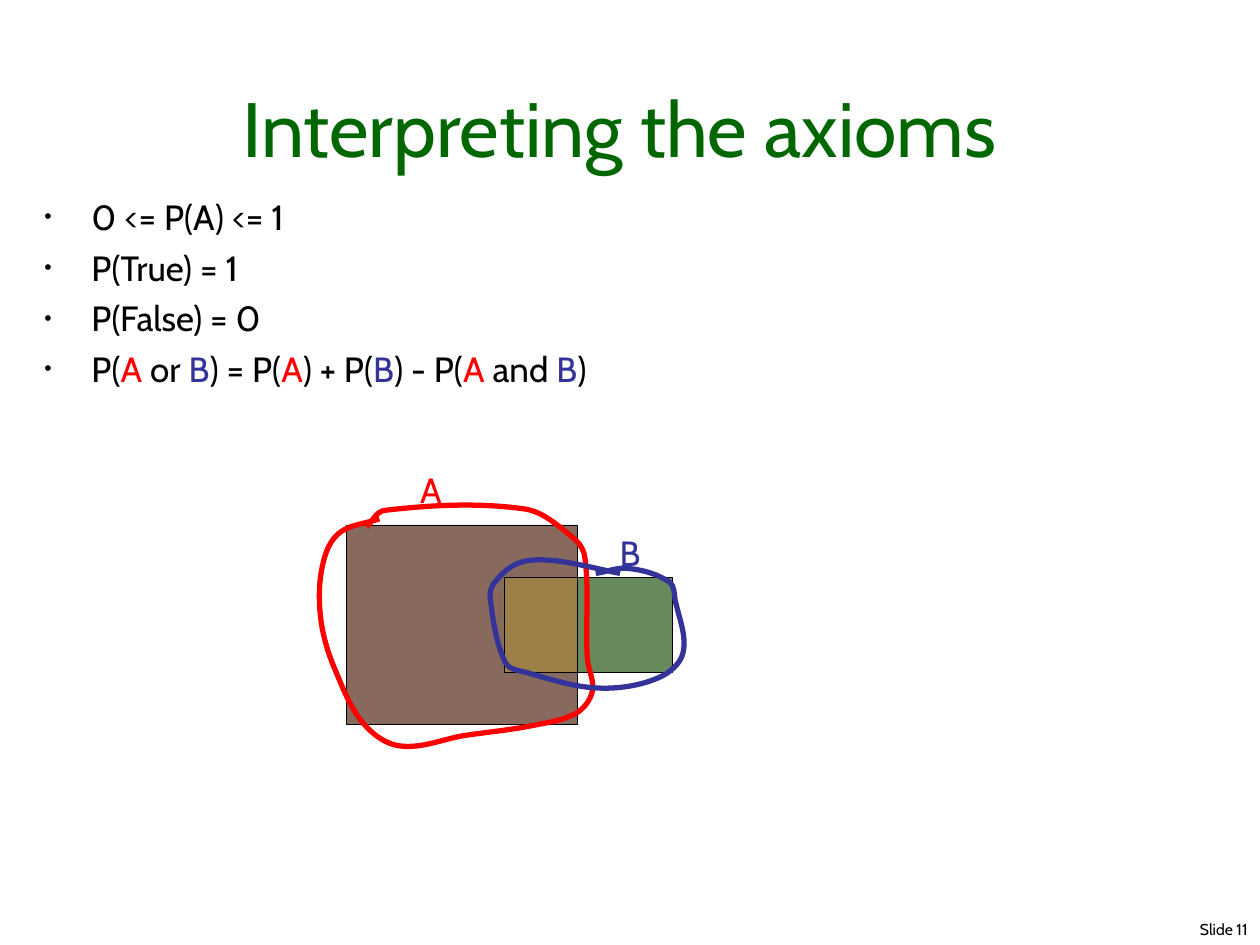
from math import dist
from lxml.etree import SubElement
from pptx import Presentation
from pptx.dml.color import RGBColor
from pptx.enum.shapes import MSO_SHAPE
from pptx.enum.text import MSO_ANCHOR, MSO_AUTO_SIZE, PP_ALIGN
from pptx.oxml.ns import qn
from pptx.util import Cm, Pt

THEME = {
    "font": "Cabin",
    "title_size": 44, "text_size": 20, "number_size": 9,
    "title": "006600", "text": "000000", "A": "FF0000", "B": "333399",
    "area_A": "876A5D", "area_B": "67895B", "area_both": "9D8047",
    "edge": 0.25, "loop": 3,
}

TITLE = "Interpreting the axioms"
# Runs are parted by "|"; a run that is an event name takes its colour.
AXIOMS = [
    "0 <= P(A) <= 1",
    "P(True) = 1",
    "P(False) = 0",
    "P(|A| or |B|) = P(|A|) + P(|B|) - P(|A| and |B|)",
]
SLIDE_NUMBER = "Slide 11"

# Left, top, width, height in centimetres
TITLE_BOX = (0.64, 0.64, 23.7, 2.97)
AXIOMS_BOX = (0.64, 3.81, 13.77, 4.45)
NUMBER_BOX = (15.44, 18.42, 9.96, 0.69)
AREA_A = (6.98, 10.58, 4.66, 4.02)
AREA_B = (10.16, 11.64, 3.39, 1.91)
LABELS = {"A": (8.2, 9.32, 0.97, 1.12), "B": (12.22, 10.59, 0.97, 1.12)}

# Points that each hand-drawn loop passes through, in 0.1 mm
LOOP_UNIT = Cm(0.01)
LOOPS = {
    "A": [(765, 1046), (681, 1077), (648, 1151), (648, 1257), (676, 1351),
          (734, 1460), (808, 1504), (935, 1483), (1072, 1463), (1161, 1438),
          (1194, 1394), (1184, 1326), (1179, 1123), (1153, 1082),
          (1057, 1026), (775, 1029), (739, 1062)],
    "B": [(1250, 1156), (1115, 1130), (1046, 1135), (998, 1173), (988, 1204),
          (1019, 1336), (1062, 1356), (1204, 1387), (1326, 1367),
          (1377, 1316), (1361, 1209), (1349, 1173), (1267, 1146), (1201, 1156)],
}


def assign(target, values):
    for name, value in values.items():
        setattr(target, name, value)


def place(shape, box):
    assign(shape, dict(zip(("left", "top", "width", "height"), map(Cm, box))))


def color(name):
    return RGBColor.from_string(THEME[name])


def write_runs(paragraph, text, size, color_name):
    for part in text.split("|"):
        run = paragraph.add_run()
        run.text = part
        assign(run.font, {"name": THEME["font"], "size": Pt(THEME[size])})
        run.font.color.rgb = color(part if part in LABELS else color_name)


def add_bullet(paragraph):
    properties = paragraph._p.get_or_add_pPr()
    properties.set("marL", str(Cm(0.95)))
    properties.set("indent", str(-Cm(0.95)))
    bullet_color = SubElement(properties, qn("a:buClr"))
    SubElement(bullet_color, qn("a:srgbClr"), val=THEME["text"])
    SubElement(properties, qn("a:buSzPct"), val="60000")
    SubElement(properties, qn("a:buChar"), char="•")


def add_text(shapes, box, text, size, color_name, alignment, wrap):
    frame = shapes.add_textbox(*map(Cm, box)).text_frame
    assign(frame, {"word_wrap": wrap, "auto_size": MSO_AUTO_SIZE.SHAPE_TO_FIT_TEXT})
    paragraph = frame.paragraphs[0]
    paragraph.alignment = alignment
    write_runs(paragraph, text, size, color_name)


def style_line(shape, color_name, width):
    shape.shadow.inherit = False
    shape.line.color.rgb = color(color_name)
    shape.line.width = Pt(THEME[width])


def add_area(shapes, box, fill):
    area = shapes.add_shape(MSO_SHAPE.RECTANGLE, *map(Cm, box))
    area.fill.solid()
    area.fill.fore_color.rgb = color(fill)
    style_line(area, "text", "edge")


def smooth(points):
    """Give three Bézier points per stretch, following the neighbours' direction."""
    padded = [points[0], *points, points[-1]]
    for before, start, end, after in zip(padded, padded[1:], padded[2:], padded[3:]):
        third = dist(start, end) / 3
        leave, arrive = third / dist(before, end), third / dist(start, after)
        yield tuple(s + (e - b) * leave for b, s, e in zip(before, start, end))
        yield tuple(e - (a - s) * arrive for s, e, a in zip(start, end, after))
        yield end


def add_loop(shapes, event):
    points = LOOPS[event]
    builder = shapes.build_freeform(*points[0], scale=LOOP_UNIT)
    builder.add_line_segments(smooth(points), close=False)
    loop = builder.convert_to_shape()
    # Turn every three straight segments into one Bézier curve
    outline = next(loop._element.iter(qn("a:path")))
    segments = outline.findall(qn("a:lnTo"))
    for first in range(0, len(segments), 3):
        curve = SubElement(outline, qn("a:cubicBezTo"))
        for segment in segments[first:first + 3]:
            curve.append(segment[0])
            outline.remove(segment)
    loop.fill.background()
    style_line(loop, event, "loop")


def overlap(first, second):
    left, top = max(first[0], second[0]), max(first[1], second[1])
    right = min(first[0] + first[2], second[0] + second[2])
    bottom = min(first[1] + first[3], second[1] + second[3])
    return left, top, right - left, bottom - top


def main():
    presentation = Presentation()
    assign(presentation, {"slide_width": Cm(25.4), "slide_height": Cm(19.05)})
    slide = presentation.slides.add_slide(presentation.slide_layouts[1])
    title, body = slide.placeholders

    for placeholder, box, anchor in ((title, TITLE_BOX, MSO_ANCHOR.BOTTOM),
                                     (body, AXIOMS_BOX, MSO_ANCHOR.TOP)):
        place(placeholder, box)
        assign(placeholder.text_frame, {"word_wrap": True, "vertical_anchor": anchor,
                                        "auto_size": MSO_AUTO_SIZE.NONE})
    heading = title.text_frame.paragraphs[0]
    heading.alignment = PP_ALIGN.CENTER
    write_runs(heading, TITLE, "title_size", "title")

    for index, axiom in enumerate(AXIOMS):
        frame = body.text_frame
        paragraph = frame.add_paragraph() if index else frame.paragraphs[0]
        add_bullet(paragraph)
        paragraph.space_before = Pt(5 if index else 0)
        write_runs(paragraph, axiom, "text_size", "text")

    diagram = slide.shapes.add_group_shape().shapes
    add_area(diagram, AREA_A, "area_A")
    add_area(diagram, AREA_B, "area_B")
    add_area(diagram, overlap(AREA_A, AREA_B), "area_both")
    for event, box in LABELS.items():
        add_loop(diagram, event)
        add_text(diagram, box, event, "text_size", event, PP_ALIGN.CENTER, False)

    add_text(slide.shapes, NUMBER_BOX, SLIDE_NUMBER, "number_size", "text",
             PP_ALIGN.RIGHT, True)
    presentation.save("out.pptx")


if __name__ == "__main__":
    main()
